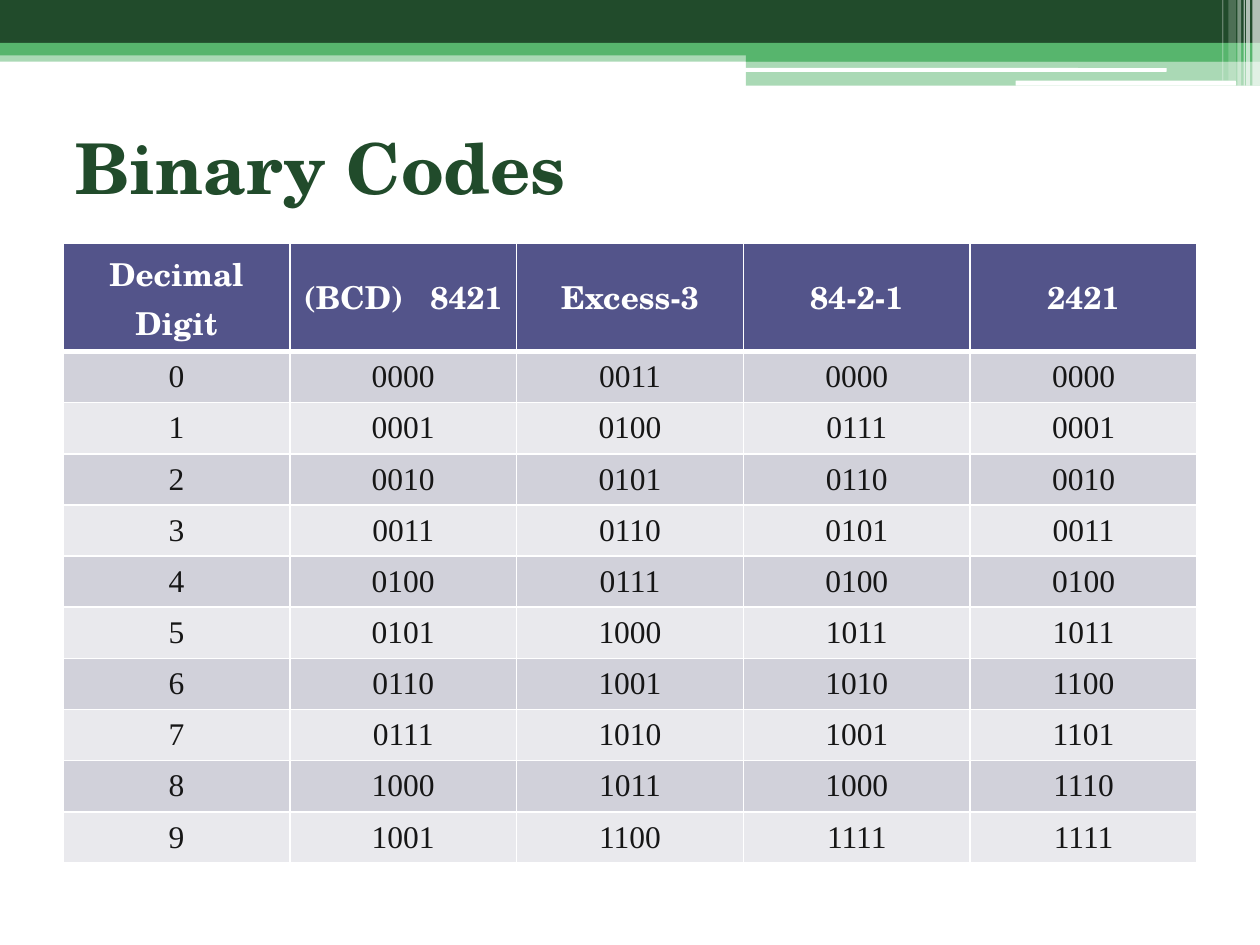
from lxml import etree
from pptx import Presentation
from pptx.dml.color import RGBColor
from pptx.enum.shapes import MSO_SHAPE
from pptx.enum.text import MSO_ANCHOR, PP_ALIGN
from pptx.oxml.ns import qn
from pptx.util import Inches, Pt

RECTANGLE, ROUNDED = MSO_SHAPE.RECTANGLE, MSO_SHAPE.ROUNDED_RECTANGLE
MIDDLE, CENTER = MSO_ANCHOR.MIDDLE, PP_ALIGN.CENTER
DARK_GREEN, GREEN, WHITE = "214B2B", "57B56D", "FFFFFF"
HEADER_FILL, BANDS = "53548A", ("D1D1DA", "E9E9ED")


def color(value):
    return RGBColor.from_string(value)


def format_text(paragraph, text, font_format):
    run = paragraph.add_run()
    run.text = text
    for name, value in font_format.items():
        if name == "color":
            run.font.color.rgb = color(value)
        else:
            setattr(run.font, name, value)


presentation = Presentation()
presentation.slide_width, presentation.slide_height = Inches(10), Inches(7.5)
slide = presentation.slides.add_slide(presentation.slide_layouts[6])

# Banner: left, top, width, height, preset, fill, opacity in percent
banner = [
    (0, 0.4, 10, 0.09, RECTANGLE, GREEN, 50),
    (0, 0, 10, 0.34, RECTANGLE, DARK_GREEN, 100),
    (0, 0.34, 10, 0.1, RECTANGLE, GREEN, 100),
    (5.92, 0.39, 4.08, 0.1, RECTANGLE, GREEN, 100),
    (5.92, 0.48, 4.08, 0.2, RECTANGLE, GREEN, 50),
    (5.91, 0.54, 3.35, 0.03, ROUNDED, WHITE, 100),
    (8.06, 0.64, 1.75, 0.04, ROUNDED, WHITE, 100),
    (9.94, 0, 0.06, 0.68, RECTANGLE, WHITE, 65),
    (9.89, 0, 0.03, 0.68, RECTANGLE, WHITE, 65),
    (9.87, 0, 0.01, 0.68, RECTANGLE, WHITE, 60),
    (9.82, 0, 0.03, 0.68, RECTANGLE, WHITE, 40),
    (9.75, 0, 0.06, 0.64, RECTANGLE, WHITE, 20),
    (9.7, 0, 0.01, 0.64, RECTANGLE, WHITE, 30),
]
for *box, preset, fill, opacity in banner:
    shape = slide.shapes.add_shape(preset, *map(Inches, box))
    shape.shadow.inherit = False
    shape.line.fill.background()
    shape.fill.solid()
    shape.fill.fore_color.rgb = color(fill)
    if opacity < 100:
        fill_color = shape.fill._xPr.find(".//" + qn("a:srgbClr"))
        etree.SubElement(fill_color, qn("a:alpha"), val=str(opacity * 1000))

# Title
title = slide.shapes.add_textbox(Inches(0.5), Inches(0.74), Inches(9), Inches(1.17))
title.text_frame.word_wrap = True
title.text_frame.vertical_anchor = MIDDLE
title_format = {"name": "TeX Gyre Schola", "size": Pt(40), "bold": True, "color": DARK_GREEN}
format_text(title.text_frame.paragraphs[0], "Binary Codes", title_format)

# Table of codes
rows = [
    ("Decimal Digit", "(BCD)   8421", "Excess-3", "84-2-1", "2421"),
    ("0", "0000", "0011", "0000", "0000"),
    ("1", "0001", "0100", "0111", "0001"),
    ("2", "0010", "0101", "0110", "0010"),
    ("3", "0011", "0110", "0101", "0011"),
    ("4", "0100", "0111", "0100", "0100"),
    ("5", "0101", "1000", "1011", "1011"),
    ("6", "0110", "1001", "1010", "1100"),
    ("7", "0111", "1010", "1001", "1101"),
    ("8", "1000", "1011", "1000", "1110"),
    ("9", "1001", "1100", "1111", "1111"),
]
header_format = {"name": "TeX Gyre Schola", "size": Pt(18), "bold": True, "color": WHITE}
body_format = {"name": "Times New Roman", "size": Pt(18), "bold": False, "color": "161616"}
header_height, body_height = Inches(0.86), Inches(4.06)
table = slide.shapes.add_table(
    len(rows), len(rows[0]), Inches(0.5), Inches(1.93), Inches(9), header_height + body_height
).table

for row_index, texts in enumerate(rows):
    is_header = row_index == 0
    table.rows[row_index].height = header_height if is_header else body_height // (len(rows) - 1)
    # The rule under the header is thicker than the other borders
    border_widths = {
        "L": 1, "R": 1, "T": 3 if row_index == 1 else 1, "B": 3 if is_header else 1,
    }
    for column_index, text in enumerate(texts):
        cell = table.cell(row_index, column_index)
        cell.vertical_anchor = MIDDLE
        properties = cell._tc.get_or_add_tcPr()
        for side, width in border_widths.items():
            border = etree.SubElement(properties, qn("a:ln" + side), w=str(Pt(width)))
            border_fill = etree.SubElement(border, qn("a:solidFill"))
            etree.SubElement(border_fill, qn("a:srgbClr"), val=WHITE)
        cell.fill.solid()
        cell.fill.fore_color.rgb = color(HEADER_FILL if is_header else BANDS[(row_index - 1) % 2])
        paragraph = cell.text_frame.paragraphs[0]
        paragraph.alignment = CENTER
        format_text(paragraph, text, header_format if is_header else body_format)

presentation.save("out.pptx")
